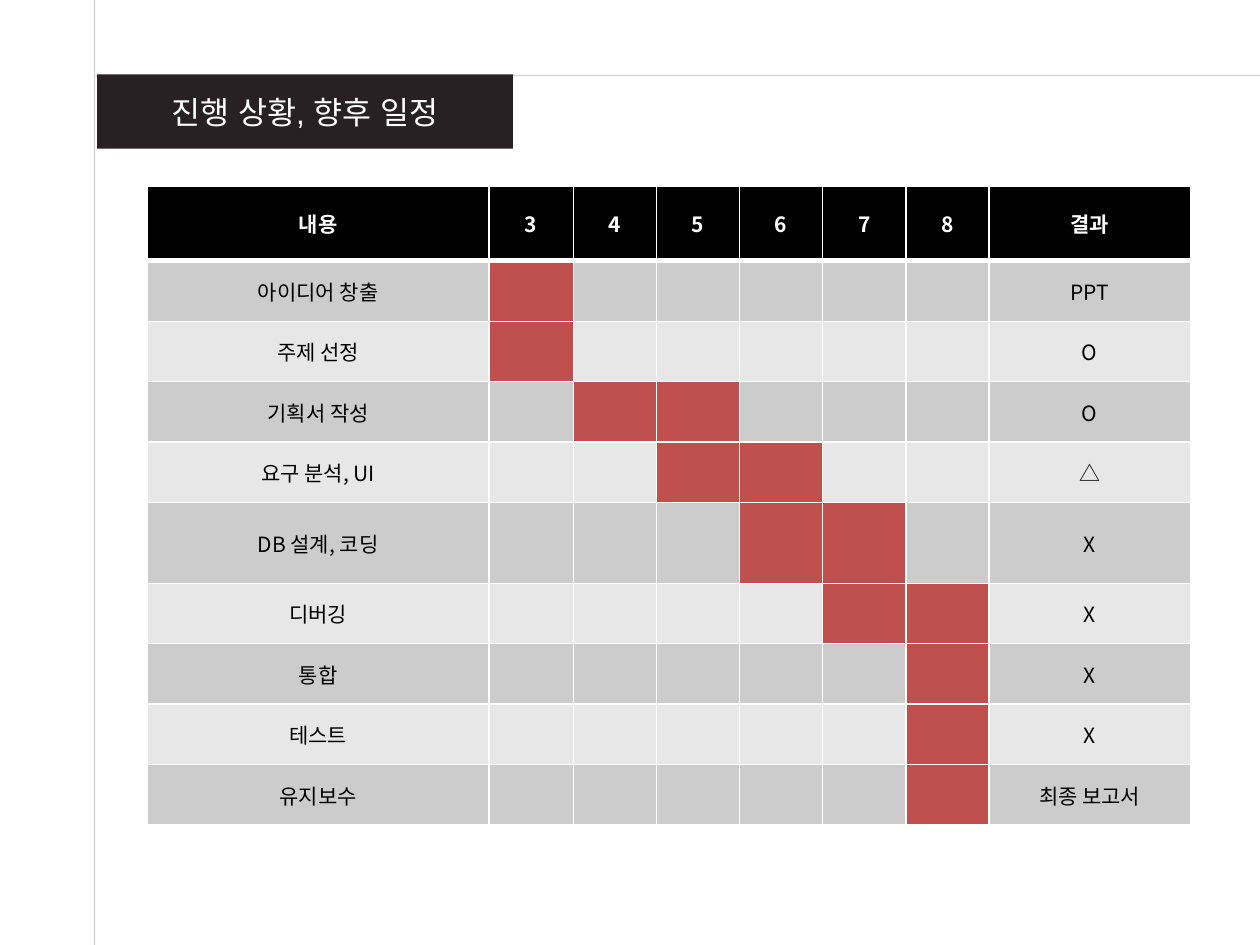
import pptx
import pptx.dml.color
import pptx.enum.dml
import pptx.enum.shapes
import pptx.enum.text
import pptx.oxml
import pptx.oxml.ns
import pptx.util
from lxml import etree

Inches = pptx.util.Inches
Pt = pptx.util.Pt
RGBColor = pptx.dml.color.RGBColor
MIDDLE = pptx.enum.text.MSO_ANCHOR.MIDDLE
CENTER = pptx.enum.text.PP_ALIGN.CENTER

WHITE = RGBColor(0xFF, 0xFF, 0xFF)
BLACK = RGBColor(0, 0, 0)
CHARCOAL = RGBColor(0x27, 0x21, 0x23)
RULE_GRAY = RGBColor(0xA6, 0xA6, 0xA6)
BAND_DARK = RGBColor(0xCC, 0xCC, 0xCC)
BAND_LIGHT = RGBColor(0xE7, 0xE7, 0xE7)
ACTIVE_RED = RGBColor(0xC0, 0x50, 0x4D)

TITLE_FONT = {"name": "Arial", "size": Pt(18), "bold": False}
HEADER_FONT = {"name": "Noto Sans CJK KR", "size": Pt(12), "bold": True}
BODY_FONT = HEADER_FONT | {"bold": False}

MONTHS = range(3, 9)
# Task, first month, last month, result
TASKS = [
    ("아이디어 창출", 3, 3, "PPT"),
    ("주제 선정", 3, 3, "O"),
    ("기획서 작성", 4, 5, "O"),
    ("요구 분석, UI", 5, 6, "△"),
    ("DB 설계, 코딩", 6, 7, "X"),
    ("디버깅", 7, 8, "X"),
    ("통합", 8, 8, "X"),
    ("테스트", 8, 8, "X"),
    ("유지보수", 8, 8, "최종 보고서"),
]
COLUMN_WIDTHS = [2.71, 0.67] + [0.66] * 5 + [1.6]
ROW_HEIGHTS = [0.59] + [0.48] * 4 + [0.64] + [0.48] * 4


def add_child(parent, tag, **attributes):
    return etree.SubElement(parent, pptx.oxml.ns.qn(tag), attributes)


def write_text(frame, text, color, font_format):
    frame.vertical_anchor = MIDDLE
    para = frame.paragraphs[0]
    para.alignment = CENTER
    span = para.add_run()
    span.text = text
    span.font.color.rgb = color
    for name, value in font_format.items():
        setattr(span.font, name, value)
    add_child(span.font._element, "a:ea", typeface=font_format["name"])


def add_rule(page, start, end):
    rule = page.shapes.add_connector(
        pptx.enum.shapes.MSO_CONNECTOR.STRAIGHT,
        *(Inches(value) for value in start + end))
    rule.line.color.rgb = RULE_GRAY
    rule.line.width = Pt(0.75)
    color = rule.element.spPr.find(".//" + pptx.oxml.ns.qn("a:srgbClr"))
    add_child(color, "a:alpha", val="50000")
    add_child(rule.element.spPr, "a:effectLst")


def add_title(page, text):
    title = page.shapes.title
    # Bring the title in front of the rules
    page.shapes.element.append(title.element)
    position = {"left": 0.77, "top": 0.59, "width": 3.3, "height": 0.59}
    for name, value in position.items():
        setattr(title, name, Inches(value))
    title.fill.solid()
    title.fill.fore_color.rgb = CHARCOAL
    write_text(title.text_frame, text, WHITE, TITLE_FONT)


def set_borders(cell, widths):
    properties = cell._tc.get_or_add_tcPr()
    for position, (side, points) in enumerate(widths.items()):
        border = pptx.oxml.parse_xml(
            f'<a:{side} {pptx.oxml.ns.nsdecls("a")} w="{Pt(points)}">'
            f'<a:solidFill><a:srgbClr val="{WHITE}"/></a:solidFill></a:{side}>')
        properties.insert(position, border)


def fill_cell(cell, fill, widths, text="", color=BLACK, font_format=BODY_FONT):
    cell.fill.solid()
    cell.fill.fore_color.rgb = fill
    cell.vertical_anchor = MIDDLE
    set_borders(cell, widths)
    if text:
        write_text(cell.text_frame, text, color, font_format)
        cell.vertical_anchor = MIDDLE


def add_schedule(page):
    table = page.shapes.add_table(
        len(ROW_HEIGHTS), len(COLUMN_WIDTHS), Inches(1.17), Inches(1.48),
        Inches(sum(COLUMN_WIDTHS)), Inches(sum(ROW_HEIGHTS))).table
    for column, width in zip(table.columns, COLUMN_WIDTHS):
        column.width = Inches(width)
    for row, height in zip(table.rows, ROW_HEIGHTS):
        row.height = Inches(height)

    # Header row
    thin = {"lnL": 1, "lnR": 1, "lnT": 1, "lnB": 1}
    headings = ["내용", *map(str, MONTHS), "결과"]
    for column, heading in enumerate(headings):
        fill_cell(table.cell(0, column), BLACK, thin | {"lnB": 3},
                  heading, WHITE, HEADER_FONT)

    # Task rows, with the active months in red
    for row, (task, first, last, result) in enumerate(TASKS, start=1):
        band = BAND_DARK if row % 2 else BAND_LIGHT
        widths = thin | {"lnT": 3} if row == 1 else thin
        fill_cell(table.cell(row, 0), band, widths, task)
        for column, month in enumerate(MONTHS, start=1):
            fill = ACTIVE_RED if first <= month <= last else band
            fill_cell(table.cell(row, column), fill, widths)
        fill_cell(table.cell(row, len(headings) - 1), band, widths, result)


def main():
    deck = pptx.Presentation()
    deck.slide_width, deck.slide_height = Inches(10), Inches(7.5)
    page = deck.slides.add_slide(deck.slide_layouts.get_by_name("Title Only"))
    add_rule(page, (0.75, -0.41), (0.75, 7.77))
    add_rule(page, (10.92, 0.6), (0.76, 0.6))
    add_title(page, "진행 상황, 향후 일정")
    add_schedule(page)
    deck.save("out.pptx")


if __name__ == "__main__":
    main()
